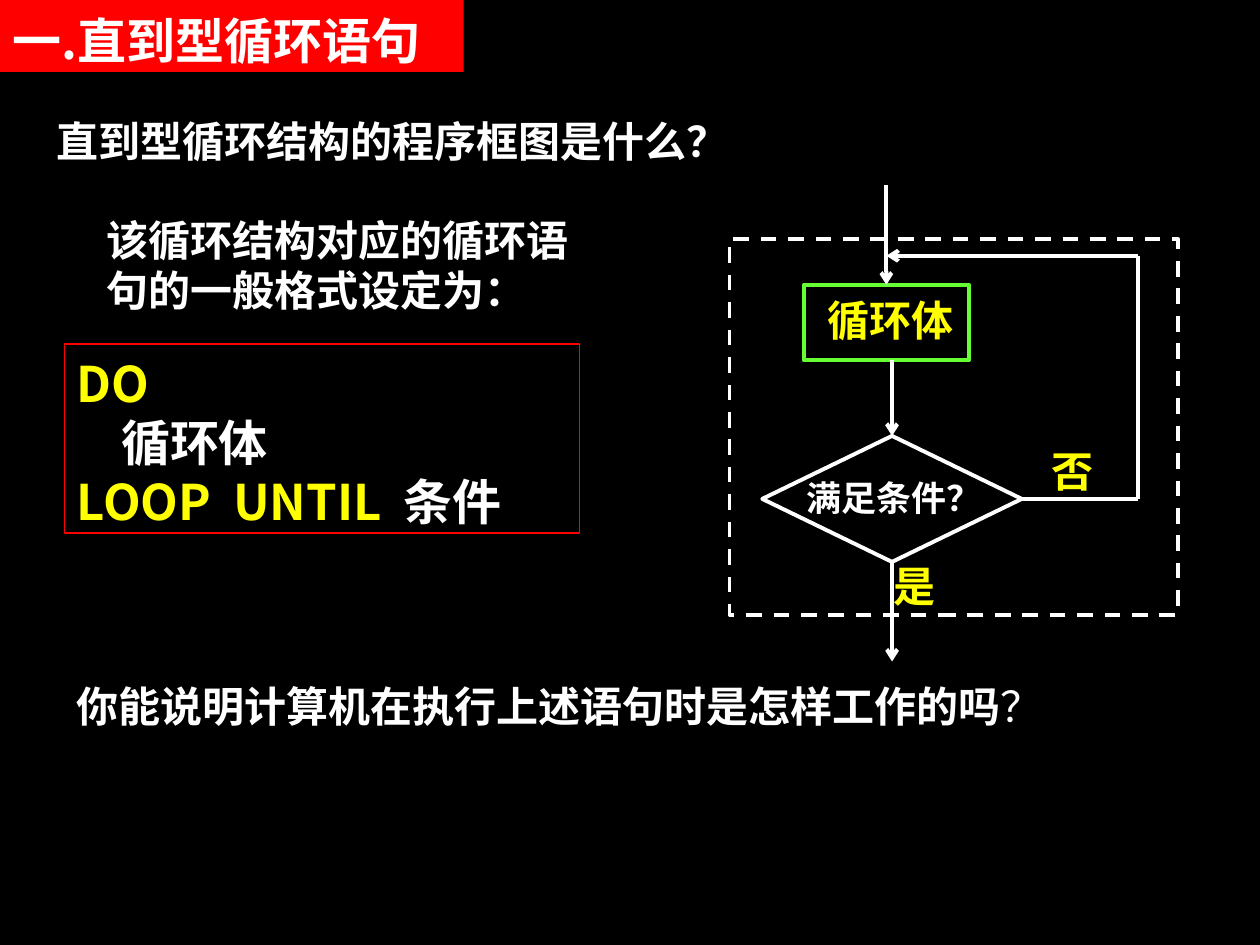
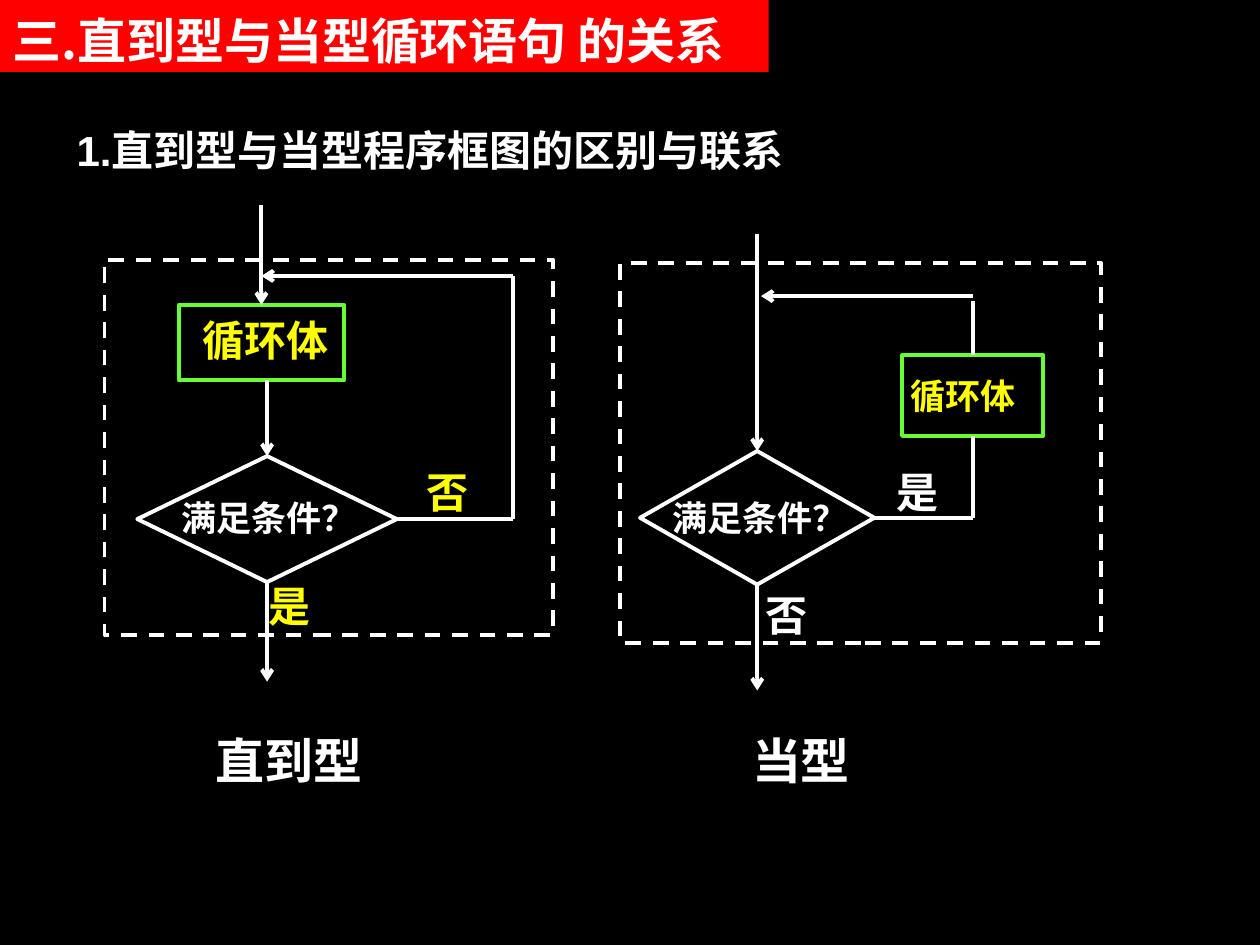
from dataclasses import dataclass
from typing import Any

from lxml.etree import SubElement
from pptx import Presentation
from pptx.dml.color import RGBColor
from pptx.enum.dml import MSO_LINE_DASH_STYLE as Dash
from pptx.enum.shapes import MSO_CONNECTOR as Connector, MSO_SHAPE as Preset
from pptx.enum.text import MSO_ANCHOR as Anchor, MSO_AUTO_SIZE as AutoSize, PP_ALIGN as Align
from pptx.oxml.ns import qn
from pptx.util import Inches, Pt

BLACK, WHITE, RED, YELLOW, GREEN = "000000", "FFFFFF", "FF0000", "FFFF00", "66FF33"
SANS, HAN, SERIF = "Arial", "Noto Sans CJK SC", "Times New Roman"
SLIDE_WIDTH, SLIDE_HEIGHT = Inches(10), Inches(7.5)
COLUMN, ROW = SLIDE_WIDTH // 100, SLIDE_HEIGHT // 75
TITLE_ROWS, TITLE_SIZE, TEXT_SIZE, CONDITION_SIZE = 5.7, 28, 24, 20
WIRE_WIDTH, LEADING = 2.25, 1.2
TOP, BOTTOM = 0, 2
RIGHT = 3


def color(hex_code):
    """Turn a hex string into a colour."""
    return RGBColor.from_string(hex_code)


def cells(left, top, *size):
    """Turn columns and rows of the slide grid into lengths."""
    units = (COLUMN, ROW) * 2
    return [int(count * unit) for count, unit in zip((left, top, *size), units)]


def write(frame, lines, size, align=Align.LEFT):
    """Fill a text frame with lines of (text, font, colour, bold) runs."""
    frame.word_wrap = True
    frame.auto_size = AutoSize.NONE
    frame.vertical_anchor = Anchor.TOP
    frame.margin_left, frame.margin_right = Inches(0.1), 0
    frame.margin_top, frame.margin_bottom = Inches(0.08), 0
    for number, line in enumerate(lines):
        paragraph = frame.add_paragraph() if number else frame.paragraphs[0]
        paragraph.alignment = align
        paragraph.line_spacing = Pt(size * LEADING)
        for text, family, ink, bold in line:
            run = paragraph.add_run()
            run.text = text
            run.font.size, run.font.bold = Pt(size), bold
            run.font.color.rgb = color(ink)
            run.font.name = family
            SubElement(run.font._element, qn("a:ea"), typeface=HAN)


def add_title(slide, number, heading, columns):
    """Place the title as a red band in the top left corner."""
    title = slide.shapes.title
    title.left, title.top, title.width, title.height = cells(0, 0, columns, TITLE_ROWS)
    title.fill.solid()
    title.fill.fore_color.rgb = color(RED)
    runs = [(number, HAN, WHITE, True), (heading, SANS, WHITE, True)]
    write(title.text_frame, [runs], TITLE_SIZE)


def add_text(slide, area, runs, size=TEXT_SIZE, align=Align.LEFT):
    """Add one paragraph of text on the grid."""
    box = slide.shapes.add_textbox(*cells(*area))
    write(box.text_frame, [runs], size, align)


def add_outline(slide, preset, area, ink, width=WIRE_WIDTH):
    """Add an unfilled outlined shape on the grid."""
    outline = slide.shapes.add_shape(preset, *cells(*area))
    outline.shadow.inherit = False
    outline.fill.background()
    outline.line.color.rgb = color(ink)
    outline.line.width = Pt(width)
    return outline


@dataclass
class Flowchart:
    """A flowchart placed relative to the corner of its dashed frame."""

    slide: Any
    left: float
    top: float

    def shifted(self, x, y, *size):
        """Move a position from the frame to the slide grid."""
        return self.left + x, self.top + y, *size

    def frame(self, columns, rows):
        """Draw the dashed frame."""
        border = add_outline(self.slide, Preset.RECTANGLE, self.shifted(0, 0, columns, rows), WHITE)
        border.line.dash_style = Dash.DASH

    def node(self, preset, area, ink):
        """Draw a step or a decision."""
        return add_outline(self.slide, preset, self.shifted(*area), ink)

    def label(self, text, area, ink, size=TEXT_SIZE):
        """Write a label of the flowchart."""
        runs = [(text, SERIF, ink, True)]
        add_text(self.slide, self.shifted(*area), runs, size, Align.JUSTIFY)

    def wire(self, start, end, arrow=False, source=None, target=None):
        """Draw a line, joined to the given (node, side) pairs."""
        points = cells(*self.shifted(*start)) + cells(*self.shifted(*end))
        wire = self.slide.shapes.add_connector(Connector.STRAIGHT, *points)
        if source:
            wire.begin_connect(*source)
        if target:
            wire.end_connect(*target)
        wire.line.color.rgb = color(WHITE)
        wire.line.width = Pt(WIRE_WIDTH)
        if arrow:
            SubElement(wire.line._get_or_add_ln(), qn("a:tailEnd"), type="arrow")
        SubElement(wire._element.spPr, qn("a:effectLst"))


def add_until_loop(slide, left, top):
    """Draw the loop that tests its condition after the body."""
    chart = Flowchart(slide, left, top)
    condition = chart.node(Preset.DIAMOND, (2.6, 15.6, 20.6, 10), WHITE)
    body = chart.node(Preset.RECTANGLE, (5.9, 3.6, 13.1, 6), GREEN)
    chart.label("满足条件？", (5.1, 18, 16.8, 6), WHITE, CONDITION_SIZE)
    chart.label("循环体", (6.8, 3.6, 13.7, 6), YELLOW)
    chart.label("是", (12, 24.7, 5.6, 6), YELLOW)
    chart.label("否", (24.6, 15.6, 5.6, 6), YELLOW)
    chart.wire((12.45, -4.3), (12.45, 3.6), True, target=(body, TOP))
    chart.wire((12.9, 9.6), (12.9, 15.6), True, target=(condition, TOP))
    chart.wire((12.9, 25.6), (12.9, 33.5), True, source=(condition, BOTTOM))
    chart.wire((23.2, 20.6), (32.4, 20.6), source=(condition, RIGHT))
    chart.wire((32.4, 20.6), (32.4, 1.3))
    chart.wire((32.4, 1.3), (12.45, 1.3), True)
    chart.frame(35.6, 29.8)


def add_while_loop(slide, left, top):
    """Draw the loop that tests its condition before the body."""
    chart = Flowchart(slide, left, top)
    body = chart.node(Preset.RECTANGLE, (22.4, 7.3, 11.2, 6.4), GREEN)
    condition = chart.node(Preset.DIAMOND, (1.6, 14.9, 18.6, 10.6), WHITE)
    chart.label("循环体", (22.1, 8, 12.6, 6.4), YELLOW, CONDITION_SIZE)
    chart.label("满足条件？", (3.2, 17.7, 20.5, 6.4), WHITE, CONDITION_SIZE)
    chart.label("是", (21, 15.3, 4.8, 6.4), WHITE)
    chart.label("否", (10.6, 25.1, 4.8, 6.4), WHITE)
    chart.wire((10.9, -2.3), (10.9, 14.9), True, target=(condition, TOP))
    chart.wire((10.9, 25.5), (10.9, 33.9), True, source=(condition, BOTTOM))
    chart.wire((20.2, 20.2), (28, 20.2), source=(condition, RIGHT))
    chart.wire((28, 20.2), (28, 13.7), target=(body, BOTTOM))
    chart.wire((28, 3), (28, 7.3), target=(body, TOP))
    chart.wire((28, 2.6), (11.2, 2.6), True)
    chart.frame(38.2, 30.1)


def add_until_syntax(slide):
    """Show the general form of the until statement."""
    syntax = add_outline(slide, Preset.RECTANGLE, (5.1, 27.3, 40.9, 15), RED, 0.75)
    write(syntax.text_frame, [
        [("DO", HAN, YELLOW, True)],
        [("    ", HAN, YELLOW, True), ("循环体", HAN, WHITE, True)],
        [("LOOP  UNTIL  ", HAN, YELLOW, True), ("条件", HAN, WHITE, True)],
    ], TITLE_SIZE)


def build_until_slide(slide):
    """Build the slide on the until statement."""
    add_title(slide, "一.", "直到型循环语句", 36.8)
    add_text(slide, (3.5, 8.4, 60.2, 5),
             [("直到型循环结构的程序框图是什么？", HAN, WHITE, True)])
    add_until_loop(slide, 57.9, 19)
    add_text(slide, (7.5, 16.2, 39.6, 9),
             [("该循环结构对应的循环语句的一般格式设定为：", HAN, WHITE, True)])
    add_until_syntax(slide)
    add_text(slide, (5.1, 53.2, 79.9, 5),
             [("你能说明计算机在执行上述语句时是怎样工作的吗", SANS, WHITE, True),
              ("？", SANS, WHITE, False)])


def build_comparison_slide(slide):
    """Build the slide that compares both loops."""
    add_title(slide, "三.", "直到型与当型循环语句 的关系", 61)
    add_text(slide, (5.1, 9.1, 60.6, 5),
             [("1.直到型与当型程序框图的区别与联系", SANS, WHITE, True)])
    add_until_loop(slide, 8.3, 20.6)
    add_while_loop(slide, 49.2, 20.9)
    for loop_name, left, columns in (("直到型", 16.1, 15.7), ("当型", 58.7, 11.8)):
        add_text(slide, (left, 57.2, columns, TITLE_ROWS),
                 [(loop_name, SANS, WHITE, True)], TITLE_SIZE)


def main():
    """Build and save the presentation."""
    deck = Presentation()
    deck.slide_width, deck.slide_height = SLIDE_WIDTH, SLIDE_HEIGHT
    backdrop = deck.slide_master.background.fill
    backdrop.solid()
    backdrop.fore_color.rgb = color(BLACK)
    title_only = deck.slide_layouts.get_by_name("Title Only")
    for build in (build_until_slide, build_comparison_slide):
        build(deck.slides.add_slide(title_only))
    deck.save("out.pptx")


if __name__ == "__main__":
    main()
